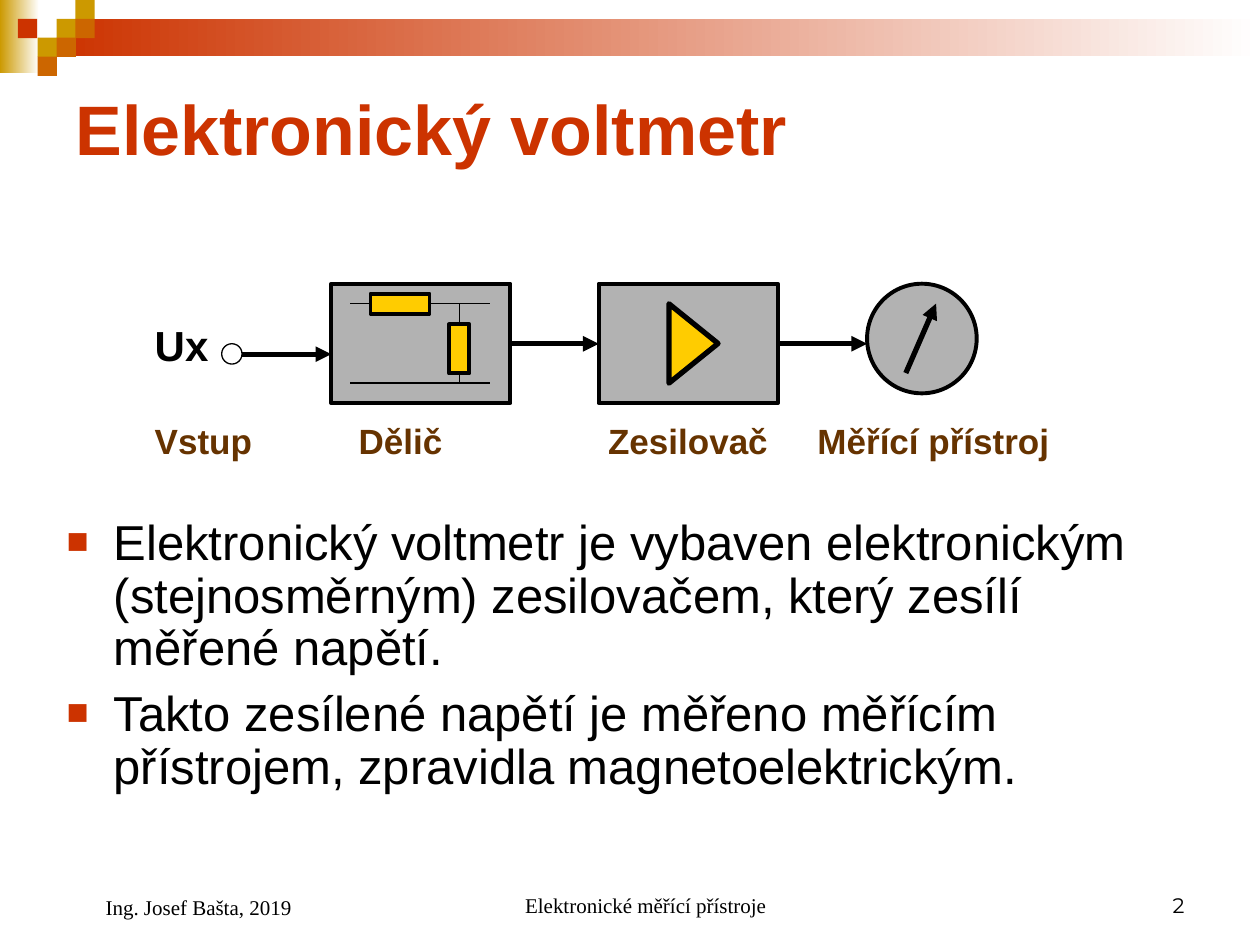
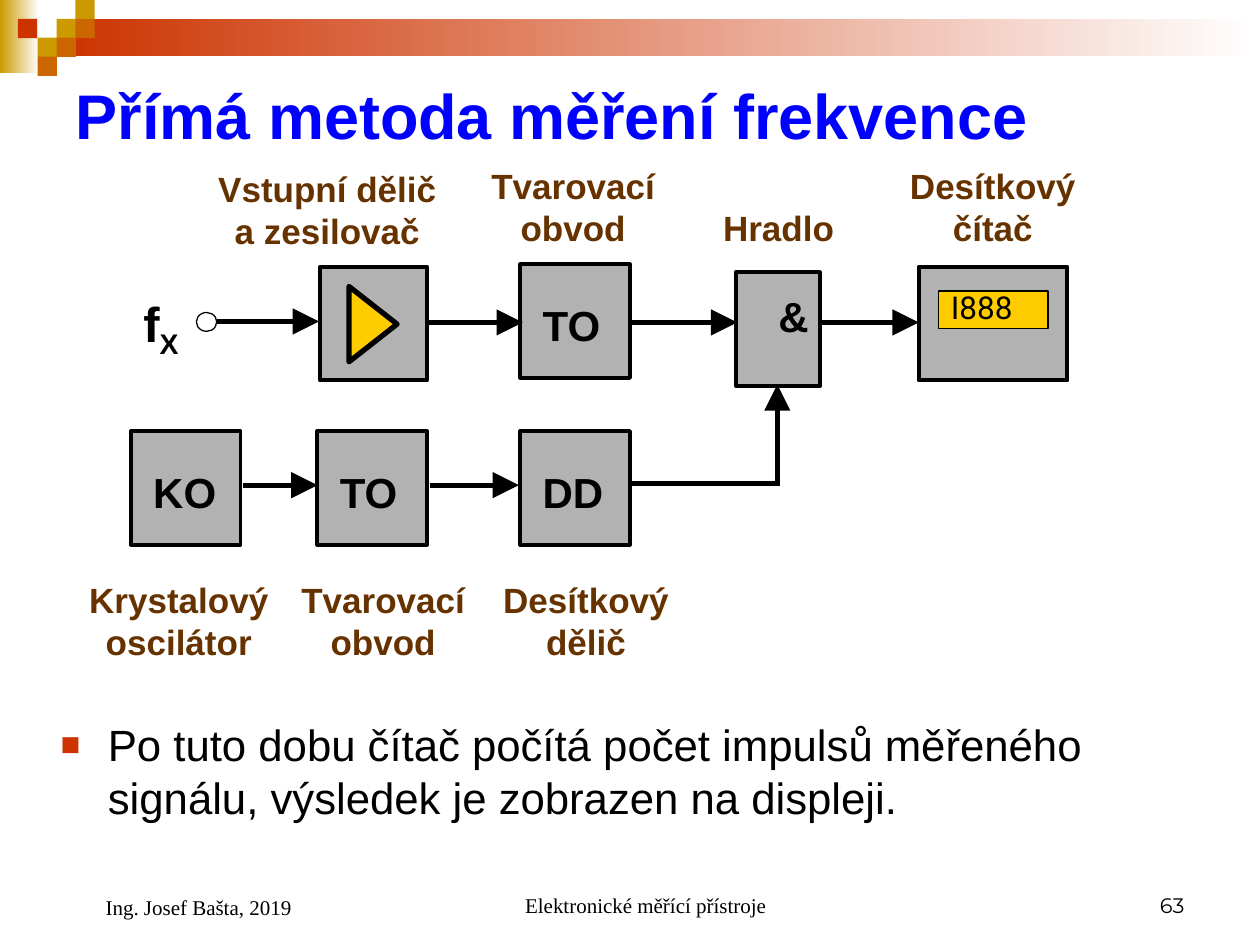
from dataclasses import dataclass

from lxml import etree
from pptx import Presentation
from pptx import util as u
from pptx.dml.color import RGBColor
from pptx.enum import shapes, text
from pptx.oxml import ns


@dataclass(frozen=True)
class Theme:
    red: str = "CC3300"
    gold: str = "CC9900"
    orange: str = "CC6600"
    yellow: str = "FFCC00"
    grey: str = "B2B2B2"
    brown: str = "663300"
    blue: str = "0000FF"
    black: str = "000000"
    white: str = "FFFFFF"
    sans: str = "Arial"
    serif: str = "Times New Roman"
    number: str = "Montserrat"
    display: str = "Roboto"
    symbol: int = 24
    caption: int = 20
    reading: int = 18
    footer: int = 12
    thick: float = 3
    edge: float = 2.25
    thin: float = 0.75


theme = Theme()
kind = shapes.MSO_SHAPE
align = text.PP_ALIGN
anchors = text.MSO_ANCHOR


def draw(slide, outline, box, fill=None, weight=0, turn=0):
    part = slide.shapes.add_shape(outline, *map(u.Cm, box))
    part.shadow.inherit = False
    part.rotation = turn
    if fill:
        part.fill.solid()
        part.fill.fore_color.rgb = RGBColor.from_string(fill)
    else:
        part.fill.background()
    if weight:
        part.line.color.rgb = RGBColor.from_string(theme.black)
        part.line.width = u.Pt(weight)
    else:
        part.line.fill.background()
    return part


def write(paragraph, content, size, colour=theme.black, font=theme.sans, bold=False):
    for number, line in enumerate(content.split("\n")):
        if number:
            paragraph.add_line_break()
        run = paragraph.add_run()
        run.text = line
        run.font.size = u.Pt(size)
        run.font.name = font
        run.font.bold = bold
        run.font.color.rgb = RGBColor.from_string(colour)


deck = Presentation()
deck.slide_width, deck.slide_height = u.Cm(25.4), u.Cm(19.05)
layout = deck.slide_layouts[1]
voltmeter, counter = [deck.slides.add_slide(layout) for _ in range(2)]

corner = []
for box, colour in [
    ((0, 0, 0.79, 1.47), theme.gold),
    ((1.14, 0.38, 24.26, 0.76), theme.red),
]:
    band = draw(voltmeter, kind.RECTANGLE, box)
    band.fill.gradient()
    band.fill.gradient_angle = 0
    for stop, shade in zip(band.fill.gradient_stops, (colour, theme.white)):
        stop.color.rgb = RGBColor.from_string(shade)
    corner.append(band)
for left, top, colour in [
    (1.14, 0.38, theme.gold),
    (1.52, 0, theme.gold),
    (1.52, 0.38, theme.orange),
    (0.76, 0.76, theme.gold),
    (0.36, 0.38, theme.red),
    (1.14, 0.76, theme.orange),
    (0.76, 1.14, theme.orange),
]:
    corner.append(draw(voltmeter, kind.RECTANGLE, (left, top, 0.39, 0.39), colour))
for number, part in enumerate(corner, 100):
    part.element.xpath("./p:nvSpPr/p:cNvPr")[0].set("id", str(number))
    layout.shapes.element.append(part.element)

for slide, heading, size, colour, heading_height, list_box, list_size, spacing, before, points in [
    (voltmeter, "Elektronický voltmetr", 40, theme.red, 2.62,
     (1.09, 10.31, 22.86, 6.4), 28, 0.9, 7, [
         "Elektronický voltmetr je vybaven elektronickým (stejnosměrným) zesilovačem, "
         "který zesílí měřené napětí.",
         "Takto zesílené napětí je měřeno měřícím přístrojem, zpravidla magnetoelektrickým.",
     ]),
    (counter, "Přímá metoda měření frekvence", 36, theme.blue, 2.06,
     (0.97, 14.35, 23.85, 2.95), 25, 1.0, 6.2, [
         "Po tuto dobu čítač počítá počet impulsů měřeného signálu, "
         "výsledek je zobrazen na displeji.",
     ]),
]:
    title, body = slide.placeholders
    for holder, box in [(title, (1.27, 1.27, 22.86, heading_height)), (body, list_box)]:
        holder.left, holder.top, holder.width, holder.height = map(u.Cm, box)
        holder.text_frame.word_wrap = True
        holder.text_frame.auto_size = text.MSO_AUTO_SIZE.NONE
    title.text_frame.vertical_anchor = anchors.MIDDLE
    title.text_frame.paragraphs[0].alignment = align.LEFT
    write(title.text_frame.paragraphs[0], heading, size, colour, bold=True)
    for number, point in enumerate(points):
        paragraph = body.text_frame.add_paragraph() if number else body.text_frame.paragraphs[0]
        settings = paragraph._p.get_or_add_pPr()
        settings.set("marL", str(u.Cm(0.95)))
        settings.set("indent", str(u.Cm(-0.95)))
        bullet_colour = etree.SubElement(settings, ns.qn("a:buClr"))
        etree.SubElement(bullet_colour, ns.qn("a:srgbClr"), val=theme.red)
        etree.SubElement(settings, ns.qn("a:buSzPct"), val="75000")
        etree.SubElement(settings, ns.qn("a:buFont"), typeface=theme.sans)
        etree.SubElement(settings, ns.qn("a:buChar"), char="■")
        paragraph.line_spacing = spacing
        paragraph.space_before = u.Pt(before if number else 0)
        write(paragraph, point, list_size)

for left in (6.68, 12.07):
    draw(voltmeter, kind.RECTANGLE, (left, 5.72, 3.61, 2.41), theme.grey, theme.edge)
draw(voltmeter, kind.OVAL, (17.48, 5.72, 2.21, 2.21), theme.grey, theme.edge)
draw(voltmeter, kind.ISOSCELES_TRIANGLE, (13.18, 6.43, 1.6, 0.99), theme.yellow, theme.thick, 90)
draw(voltmeter, kind.RECTANGLE, (7.47, 5.92, 1.19, 0.41), theme.yellow, theme.edge)
draw(voltmeter, kind.RECTANGLE, (8.76, 6.83, 0.99, 0.41), theme.yellow, theme.edge, 90)
draw(voltmeter, kind.OVAL, (4.47, 6.93, 0.41, 0.41), None, theme.thin)

symbols = [
    (voltmeter, "Ux", (2.87, 6.32, 1.8, 1.27)),
    (counter, "&", (15.44, 5.74, 1.07, 1.27)),
]
for left, top, width, symbol in [
    (6.45, 5.38, 2.16, None),
    (10.49, 5.33, 2.21, "TO"),
    (14.83, 5.49, 1.7, None),
    (18.52, 5.38, 3, None),
    (2.64, 8.69, 2.21, "KO"),
    (6.4, 8.69, 2.21, "TO"),
    (10.49, 8.69, 2.21, "DD"),
]:
    draw(counter, kind.RECTANGLE, (left, top, width, 2.29), theme.grey, theme.edge)
    if symbol:
        symbols.append((counter, symbol, (left + 0.2, top + 0.58, 2.41, 1.27)))
draw(counter, kind.ISOSCELES_TRIANGLE, (6.76, 6.05, 1.52, 0.97), theme.yellow, theme.thick, 90)
draw(counter, kind.RECTANGLE, (18.92, 5.87, 2.21, 0.76), theme.yellow, theme.thin)
draw(counter, kind.OVAL, (3.96, 6.3, 0.41, 0.38), None, theme.thin)

for slide, start, end, weight, head in [
    (voltmeter, (10.29, 6.93), (12.07, 6.93), theme.thick, "med"),
    (voltmeter, (15.67, 6.93), (17.48, 6.93), theme.thick, "med"),
    (voltmeter, (18.26, 7.52), (18.87, 6.12), theme.thick, "med"),
    (voltmeter, (4.88, 7.14), (6.68, 7.14), theme.thick, "med"),
    (voltmeter, (8.66, 6.12), (9.88, 6.12), theme.thin, None),
    (voltmeter, (9.27, 6.12), (9.27, 6.53), theme.thin, None),
    (voltmeter, (7.47, 6.12), (7.06, 6.12), theme.thin, None),
    (voltmeter, (7.06, 7.72), (9.88, 7.72), theme.thin, None),
    (voltmeter, (9.27, 7.52), (9.27, 7.72), theme.thin, None),
    (counter, (4.37, 6.48), (6.43, 6.48), theme.thick, "lg"),
    (counter, (8.6, 6.5), (10.54, 6.5), theme.thick, "lg"),
    (counter, (12.75, 6.5), (14.86, 6.5), theme.thick, "lg"),
    (counter, (16.51, 6.5), (18.52, 6.5), theme.thick, "lg"),
    (counter, (4.9, 9.78), (6.4, 9.78), theme.thick, "lg"),
    (counter, (8.66, 9.78), (10.46, 9.78), theme.thick, "lg"),
    (counter, (12.73, 9.75), (15.7, 9.75), theme.thick, None),
    (counter, (15.67, 9.8), (15.67, 7.75), theme.thick, "lg"),
]:
    wire = slide.shapes.add_connector(shapes.MSO_CONNECTOR.STRAIGHT, *map(u.Cm, start + end))
    wire.line.color.rgb = RGBColor.from_string(theme.black)
    wire.line.width = u.Pt(weight)
    properties = wire.element.xpath("./p:spPr")[0]
    if head:
        stroke = properties.find(ns.qn("a:ln"))
        etree.SubElement(stroke, ns.qn("a:tailEnd"), type="triangle", w=head, len=head)
    etree.SubElement(properties, ns.qn("a:effectLst"))

for slide, symbol, box in symbols:
    frame = slide.shapes.add_textbox(*map(u.Cm, box)).text_frame
    frame.word_wrap = True
    write(frame.paragraphs[0], symbol, theme.symbol, bold=True)

frequency = counter.shapes.add_textbox(*map(u.Cm, (2.64, 5.79, 2.39, 1.6)))
frequency.text_frame.word_wrap = True
for letter in "fX":
    write(frequency.text_frame.paragraphs[0], letter, 28, bold=True)
frequency.element.xpath(".//a:rPr")[-1].set("baseline", "-25000")

reading = counter.shapes.add_textbox(*map(u.Cm, (18.92, 5.69, 2.39, 1.02))).text_frame
reading.word_wrap = True
write(reading.paragraphs[0], "I888", theme.reading, font=theme.display)

stages = voltmeter.shapes.add_textbox(*map(u.Cm, (2.87, 8.33, 19.2, 1.12))).text_frame
stages.word_wrap = True
tab_stops = etree.SubElement(stages.paragraphs[0]._p.get_or_add_pPr(), ns.qn("a:tabLst"))
for position in (4.11, 9.14, 13.36):
    etree.SubElement(tab_stops, ns.qn("a:tab"), pos=str(u.Cm(position)), algn="l")
write(stages.paragraphs[0], "Vstup\tDělič\tZesilovač\tMěřící přístroj",
      theme.caption, theme.brown, bold=True)

for caption, box in [
    ("Vstupní dělič\na zesilovač", (4.11, 3.25, 4.98, 1.96)),
    ("Tvarovací obvod", (9.6, 3.2, 3.91, 1.96)),
    ("Hradlo", (13.74, 4.04, 3.91, 1.12)),
    ("Desítkový čítač", (18.06, 3.2, 3.91, 1.96)),
    ("Krystalový oscilátor", (1.42, 11.53, 4.37, 1.96)),
    ("Tvarovací obvod", (5.77, 11.53, 3.91, 1.96)),
    ("Desítkový dělič", (9.86, 11.53, 3.91, 1.96)),
]:
    frame = counter.shapes.add_textbox(*map(u.Cm, box)).text_frame
    frame.word_wrap = True
    frame.paragraphs[0].alignment = align.CENTER
    write(frame.paragraphs[0], caption, theme.caption, theme.brown, bold=True)

for slide, page in [(voltmeter, "2"), (counter, "63")]:
    for content, box, side, margin, font in [
        ("Elektronické měřící přístroje", (8.69, 17.35, 8.05, 1.27), align.CENTER, 0.61, theme.serif),
        (page, (18.21, 17.35, 5.92, 1.27), align.RIGHT, 0, theme.number),
        ("Ing. Josef Bašta, 2019", (1.27, 17.35, 5.92, 1.32), align.LEFT, 0.61, theme.serif),
    ]:
        frame = slide.shapes.add_textbox(*map(u.Cm, box)).text_frame
        frame.word_wrap = True
        frame.vertical_anchor = anchors.BOTTOM
        frame.paragraphs[0].alignment = side
        frame.paragraphs[0]._p.get_or_add_pPr().set("marL", str(u.Cm(margin)))
        write(frame.paragraphs[0], content, theme.footer, font=font)

deck.save("out.pptx")
